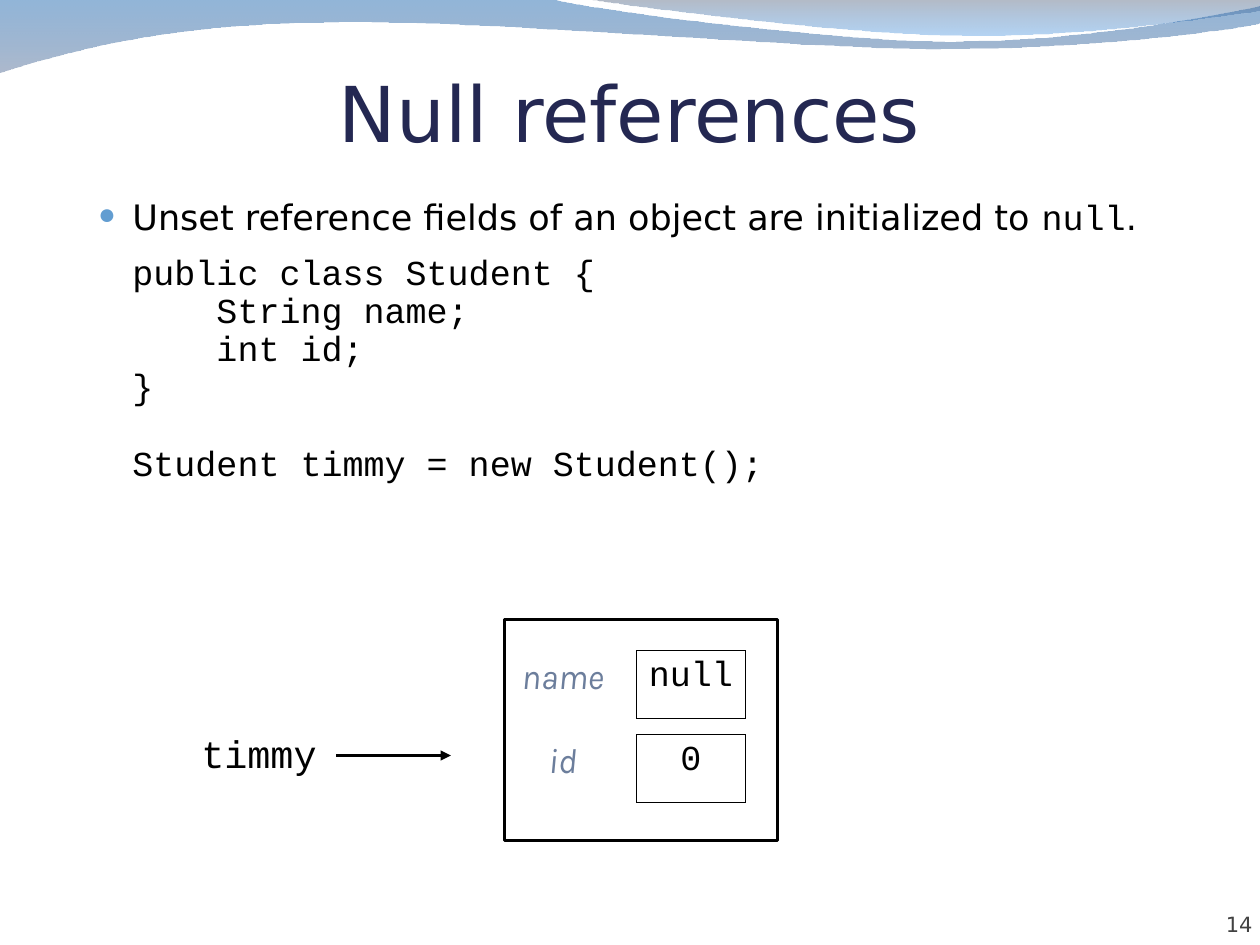
import pptx
import pptx.dml.color
import pptx.enum.shapes
import pptx.enum.text
import pptx.oxml
import pptx.oxml.ns
import pptx.util
from lxml import etree

Cm = pptx.util.Cm
Pt = pptx.util.Pt
ALIGN = pptx.enum.text.PP_ALIGN
ANCHOR = pptx.enum.text.MSO_ANCHOR

COLOURS = {
    "title": "242852", "ink": "000000", "label": "6C7E9C", "bullet": "629DD1",
    "number": "424242", "deep": "0E5CA9", "slate": "687FA3", "grey": "576680", "sky": "046FDA",
}
SANS, MONO, ITALIC = "DejaVu Sans", "Courier New", "Karla"


def rgb(name):
    """Return a named colour as an RGBColor."""
    return pptx.dml.color.RGBColor.from_string(COLOURS[name])


def add_element(parent, tag, **attributes):
    """Append a DrawingML element with attributes and return it."""
    return etree.SubElement(parent, pptx.oxml.ns.qn(f"a:{tag}"), **attributes)


def write(paragraph, text, font=SANS, size=20, colour="ink", italic=False,
          align=ALIGN.LEFT, before=0, spacing=None):
    """Add a formatted run of text to a paragraph."""
    paragraph.alignment = align
    paragraph.space_before = Pt(before)
    if spacing:
        paragraph.line_spacing = spacing
    run = paragraph.add_run()
    run.text = text
    run.font.name = font
    run.font.size = Pt(size)
    run.font.italic = italic
    run.font.color.rgb = rgb(colour)


def add_frame(slide, box, margins=(0.25, 0.13, 0.25, 0.13), anchor=ANCHOR.TOP, wrap=True):
    """Add a text box and return its text frame."""
    frame = slide.shapes.add_textbox(*map(Cm, box)).text_frame
    frame.margin_left, frame.margin_top, frame.margin_right, frame.margin_bottom = map(Cm, margins)
    frame.vertical_anchor = anchor
    frame.word_wrap = wrap
    return frame


def add_wave(slide, origin, segments, stops):
    """Draw a closed outline of lines and curves with a translucent gradient."""
    points = [(round(x * 100), round(y * 100)) for segment in segments for x, y in segment]
    builder = slide.shapes.build_freeform(*points[0], scale=Cm(1) / 100)
    builder.add_line_segments(points[1:], close=True)
    shape = builder.convert_to_shape(*map(Cm, origin))
    lines = iter(list(shape._element.iter(pptx.oxml.ns.qn("a:lnTo"))))
    for segment in segments[1:]:
        first, *others = [next(lines) for point in segment]
        if others:
            bezier = etree.Element(pptx.oxml.ns.qn("a:cubicBezTo"))
            first.addprevious(bezier)
            for line in (first, *others):
                bezier.append(line[0])
                line.getparent().remove(line)
    shape.shadow.inherit = False
    shape.line.fill.background()
    shape.fill.gradient()
    shape.fill.gradient_angle = 270
    for stop, (colour, alpha) in zip(shape.fill.gradient_stops, stops):
        stop.color.rgb = rgb(colour)
    colours = list(shape._element.spPr.iter(pptx.oxml.ns.qn("a:srgbClr")))
    for element, (colour, alpha) in zip(colours, stops):
        add_element(element, "alpha", val=str(alpha * 1000))


def add_banner(slide, box):
    """Draw the two waves along the top of the slide."""
    left, top, width = box
    add_wave(slide, (left, top), [
        [(0, 0)], [(11.18, 0)],
        [(12.09, 0.23), (16.87, 0.84), (19.25, 0.84)],
        [(21.67, 0.84), (24.33, 0.36), (width, 0.13)],
        [(width, 0.48)],
        [(24.97, 0.58), (22.1, 0.99), (18.95, 0.99)],
        [(15.8, 0.99), (9.7, 0.38), (6.53, 0.46)],
        [(3.28, 0.48), (1.17, 1.09), (0, 1.47)],
    ], [("deep", 45), ("slate", 55)])
    add_wave(slide, (left, top), [
        [(11.86, 0)],
        [(12.65, 0.13), (17.12, 0.69), (19.38, 0.71)],
        [(21.64, 0.76), (24.41, 0.36), (width, 0.23)],
        [(width, 0)],
    ], [("grey", 45), ("sky", 30)])


def add_body(slide, box):
    """Write the bulleted statement and the code below it."""
    frame = add_frame(slide, box)
    bullet = frame.paragraphs[0]
    properties = bullet._p.get_or_add_pPr()
    properties.set("marL", str(Cm(1.78)))
    properties.set("indent", str(-Cm(0.69)))
    add_element(add_element(properties, "buClr"), "srgbClr", val=COLOURS["bullet"])
    add_element(properties, "buSzPct", val="85000")
    add_element(properties, "buFont", typeface=MONO)
    add_element(properties, "buChar", char="●")
    write(bullet, "Unset reference fields of an object are initialized to ")
    write(bullet, "null", font=MONO)
    write(bullet, ".")
    code = [
        ("public class Student {", 13.6),
        ("    String name;", 5),
        ("    int id;", 5),
        ("}", 5),
        ("Student timmy = new Student();", 27),
    ]
    for line, before in code:
        paragraph = frame.add_paragraph()
        paragraph._p.get_or_add_pPr().set("marL", str(Cm(1.78)))
        write(paragraph, line, font=MONO, before=before, spacing=0.7)


def add_field(slide, box, label, value):
    """Add a one-row table with a field label and its boxed value."""
    left, top, label_width, value_width, height = box
    table = slide.shapes.add_table(1, 2, *map(Cm, (left, top, label_width + value_width, height))).table
    table.first_row = table.horz_banding = False
    formats = [
        (label, label_width, ("R",), {"font": ITALIC, "colour": "label", "italic": True}),
        (value, value_width, ("L", "R", "T", "B"), {"font": MONO}),
    ]
    for index, (text, width, sides, style) in enumerate(formats):
        table.columns[index].width = Cm(width)
        cell = table.cell(0, index)
        cell.margin_left = cell.margin_right = Cm(0.24)
        write(cell.text_frame.paragraphs[0], text, align=ALIGN.CENTER, **style)
        properties = cell._tc.get_or_add_tcPr()
        for side in sides:
            border = add_element(properties, f"ln{side}", w=str(Pt(0.45)))
            add_element(add_element(border, "solidFill"), "srgbClr", val=COLOURS["ink"])
        cell.fill.background()


def add_diagram(slide, box):
    """Draw the variable, its arrow and the object it refers to."""
    left, top, width, height = box
    for row, (label, value) in enumerate([("name", "null"), ("id", "0")]):
        add_field(slide, (left + 6.05, top + 0.63 + row * 1.69, 2.97, 2.2, 1.37), label, value)
    frame = add_frame(slide, (left, top + 2.1, 2.84, 1.19), wrap=False)
    frame.auto_size = pptx.enum.text.MSO_AUTO_SIZE.SHAPE_TO_FIT_TEXT
    write(frame.paragraphs[0], "timmy", font=MONO, size=22)
    arrow = slide.shapes.add_connector(
        pptx.enum.shapes.MSO_CONNECTOR.STRAIGHT,
        *map(Cm, (left + 2.97, top + 2.74, left + 5.28, top + 2.74)))
    arrow.line.color.rgb = rgb("ink")
    arrow.line.width = Pt(1.5)
    add_element(arrow.line._get_or_add_ln(), "tailEnd", type="triangle")
    add_element(arrow._element.spPr, "effectLst")
    border = slide.shapes.add_shape(pptx.enum.shapes.MSO_SHAPE.RECTANGLE,
                                    *map(Cm, (left + width - 5.5, top, 5.5, height)))
    border.shadow.inherit = False
    border.fill.background()
    border.line.color.rgb = rgb("ink")
    border.line.width = Pt(1.5)


def main():
    """Build the slide and save it."""
    presentation = pptx.Presentation()
    presentation.slide_width, presentation.slide_height = Cm(25.4), Cm(19.05)
    slide = presentation.slides.add_slide(presentation.slide_layouts[6])
    add_banner(slide, (0, 0, 25.4))
    number = add_frame(slide, (23.14, 17.86, 2.11, 1.02), (0, 0, 0, 0), ANCHOR.BOTTOM)
    write(number.paragraphs[0], "14", size=12, colour="number", align=ALIGN.RIGHT)
    title = add_frame(slide, (1.27, 1.22, 22.86, 1.96), (0, 0.13, 0, 0), ANCHOR.BOTTOM)
    write(title.paragraphs[0], "Null references", size=44, colour="title", align=ALIGN.CENTER)
    add_body(slide, (0.64, 3.82, 24.76, 14.4))
    add_diagram(slide, (3.81, 12.49, 11.86, 4.45))
    presentation.save("out.pptx")


if __name__ == "__main__":
    main()
